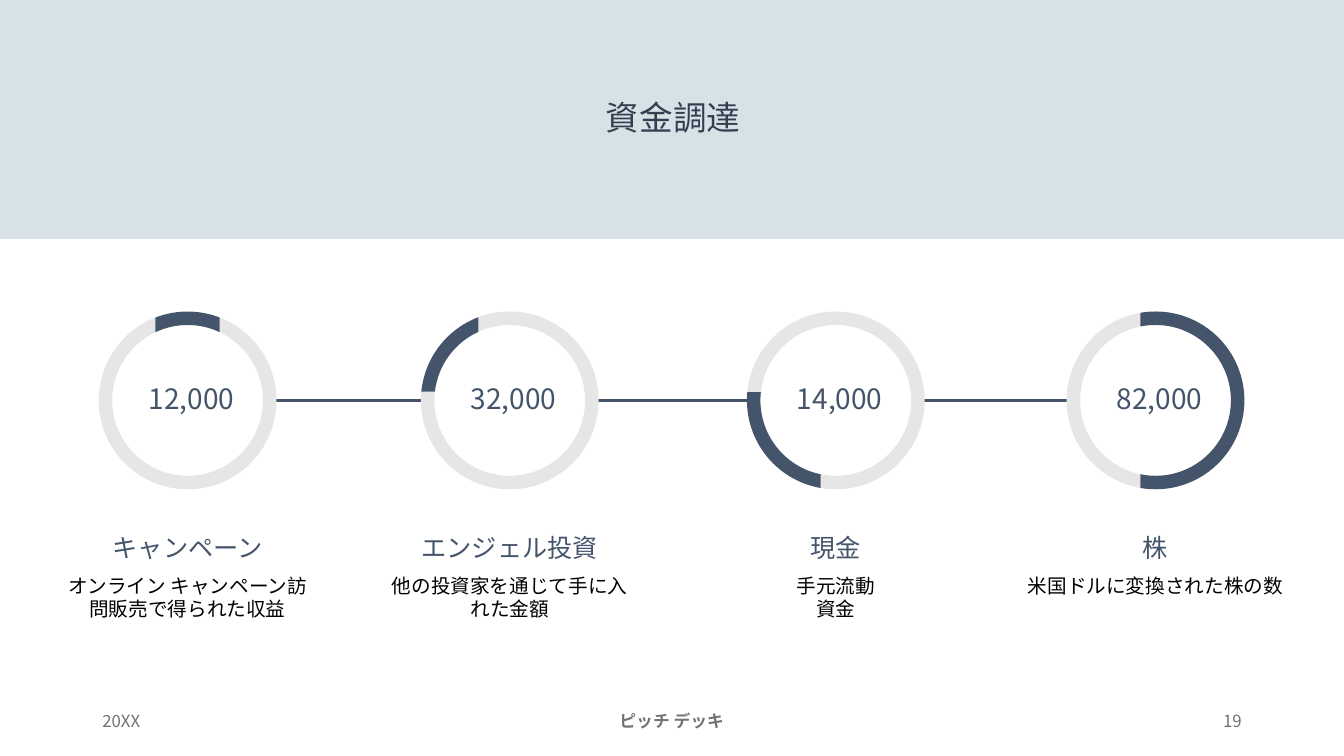
from itertools import pairwise
from math import asin, cos, pi, sin, tan

from lxml import etree
from pptx import Presentation
from pptx.dml.color import RGBColor
from pptx.enum.shapes import MSO_CONNECTOR, MSO_SHAPE
from pptx.enum.text import MSO_ANCHOR, PP_ALIGN
from pptx.oxml.ns import qn
from pptx.util import Cm, Pt

STRAIGHT = MSO_CONNECTOR.STRAIGHT
RECTANGLE = MSO_SHAPE.RECTANGLE
TOP, MIDDLE, BOTTOM = MSO_ANCHOR.TOP, MSO_ANCHOR.MIDDLE, MSO_ANCHOR.BOTTOM
LEFT, CENTER, RIGHT = PP_ALIGN.LEFT, PP_ALIGN.CENTER, PP_ALIGN.RIGHT

BAND = RGBColor(0xD7, 0xE2, 0xE7)
NAVY = RGBColor(0x44, 0x54, 0x6A)
TITLE = RGBColor(0x33, 0x3F, 0x50)
TRACK = RGBColor(0xE7, 0xE6, 0xE6)
FOOTER = RGBColor(0x76, 0x71, 0x71)
BLACK = RGBColor(0, 0, 0)

FONT = "Noto Sans CJK JP"
OUTER, INNER = 2.24, 1.9
RING_Y = 10.09

NORTH, SOUTH, WEST = -pi / 2, pi / 2, pi

FUNDS = [
    (4.73, (NORTH, -0.81), (NORTH, 0.81), "12,000", "キャンペーン",
     "オンライン キャンペーン訪問販売で得られた収益", 6.6),
    (12.85, (WEST, 0.22), (NORTH, -0.79), "32,000", "エンジェル投資",
     "他の投資家を通じて手に入れた金額", 6.6),
    (21.07, (SOUTH, 0.38), (WEST, 0.21), "14,000", "現金",
     "手元流動\n資金", 6.6),
    (29.13, (NORTH, -0.38), (SOUTH, 0.38), "82,000", "株",
     "米国ドルに変換された株の数", 7.95),
]


def paint(sp, color):
    sp.shadow.inherit = False
    sp.fill.solid()
    sp.fill.fore_color.rgb = color
    sp.line.fill.background()


def add_text(s, x, y, w, h, text, size, color, align=CENTER, anchor=MIDDLE,
             spacing=1.0, bold=False):
    tf = s.shapes.add_textbox(Cm(x), Cm(y), Cm(w), Cm(h)).text_frame
    tf.word_wrap = True
    tf.vertical_anchor = anchor
    tf.text = text
    for p in tf.paragraphs:
        p.alignment = align
        p.line_spacing = spacing
        for r in p.runs:
            r.font.name = FONT
            r.font.size = Pt(size)
            r.font.bold = bold
            r.font.color.rgb = color
            ea = etree.SubElement(r.font._element, qn("a:ea"))
            ea.set("typeface", FONT)


def add_link(s, x1, x2):
    line = s.shapes.add_connector(STRAIGHT, Cm(x1), Cm(RING_Y), Cm(x2), Cm(RING_Y))
    line.line.color.rgb = NAVY
    line.line.width = Pt(2.25)
    etree.SubElement(line._element.spPr, qn("a:effectLst"))


def arc_points(cx, radius, start, end):
    a, b = (base + asin(offset / radius) for base, offset in (start, end))
    b = a + (b - a) % (2 * pi)
    quarters = [i * pi / 2 for i in range(-4, 9)]
    stops = [a, *(q for q in quarters if a < q < b), b]

    def place(t, pull):
        x = cx + radius * (cos(t) - pull * sin(t))
        y = RING_Y + radius * (sin(t) + pull * cos(t))
        return Cm(x), Cm(y)

    points = [place(a, 0)]
    for t, u in pairwise(stops):
        pull = 4 / 3 * tan((u - t) / 4)
        points += [place(t, pull), place(u, -pull), place(u, 0)]
    return points


def bend(lines):
    for i in range(0, len(lines), 3):
        curve = etree.Element(qn("a:cubicBezTo"))
        lines[i].addprevious(curve)
        for line in lines[i:i + 3]:
            curve.append(line[0])
            line.getparent().remove(line)


def add_ring_part(s, cx, start, end, color):
    outer = arc_points(cx, OUTER, start, end)
    inner = arc_points(cx, INNER, start, end)[::-1]
    builder = s.shapes.build_freeform(*outer[0])
    builder.add_line_segments(outer[1:] + inner, close=True)
    sp = builder.convert_to_shape()
    lines = list(sp._element.iter(qn("a:lnTo")))
    bend(lines[:len(outer) - 1])
    bend(lines[len(outer):len(outer) + len(inner) - 1])
    paint(sp, color)


def add_fund(s, cx, start, end, amount, label, detail, detail_width):
    add_ring_part(s, cx, end, start, TRACK)
    add_ring_part(s, cx, start, end, NAVY)
    add_text(s, cx - 2.5, 8.53, 5.2, 3.2, amount, 20, NAVY, spacing=0.7)
    add_text(s, cx - 3.3, 12.57, 6.6, 1.75, label, 18, NAVY,
             anchor=BOTTOM, spacing=0.9)
    add_text(s, cx - detail_width / 2, 14.33, detail_width, 2.5, detail, 14, BLACK,
             anchor=TOP)


def main():
    prs = Presentation()
    prs.slide_width, prs.slide_height = Cm(33.88), Cm(19.05)
    s = prs.slides.add_slide(prs.slide_layouts[6])

    band = s.shapes.add_shape(RECTANGLE, 0, 0, prs.slide_width, Cm(6.02))
    paint(band, BAND)
    add_text(s, 11.23, 1.7, 11.48, 2.62, "資金調達", 24, TITLE, spacing=0.9)

    for fund, following in pairwise(FUNDS):
        add_link(s, fund[0] + OUTER - 0.05, following[0] - OUTER + 0.05)
    for fund in FUNDS:
        add_fund(s, *fund)

    add_text(s, 2.33, 17.65, 7.62, 1.02, "20XX", 12, FOOTER, LEFT)
    add_text(s, 11.22, 17.65, 11.43, 1.02, "ピッチ デッキ", 12, FOOTER, bold=True)
    add_text(s, 23.93, 17.65, 7.62, 1.02, "19", 12, FOOTER, RIGHT)
    prs.save("out.pptx")


if __name__ == "__main__":
    main()
